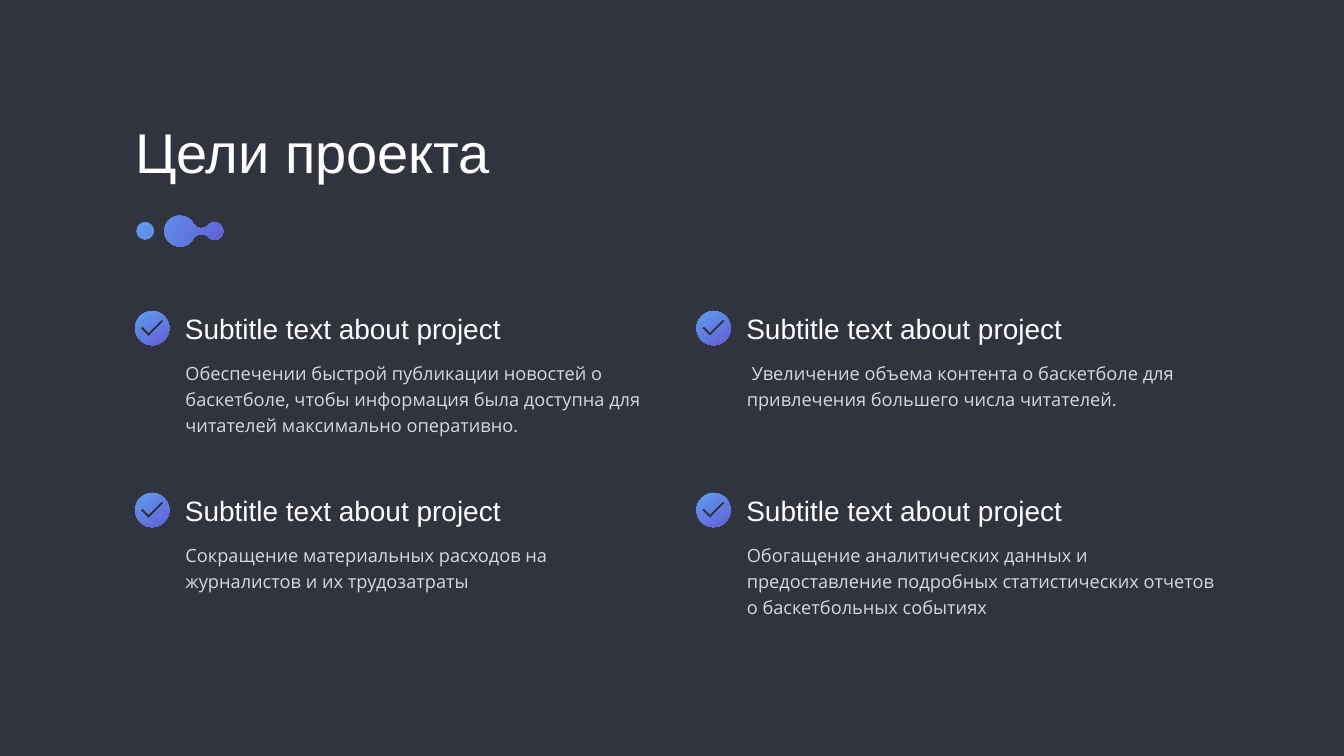
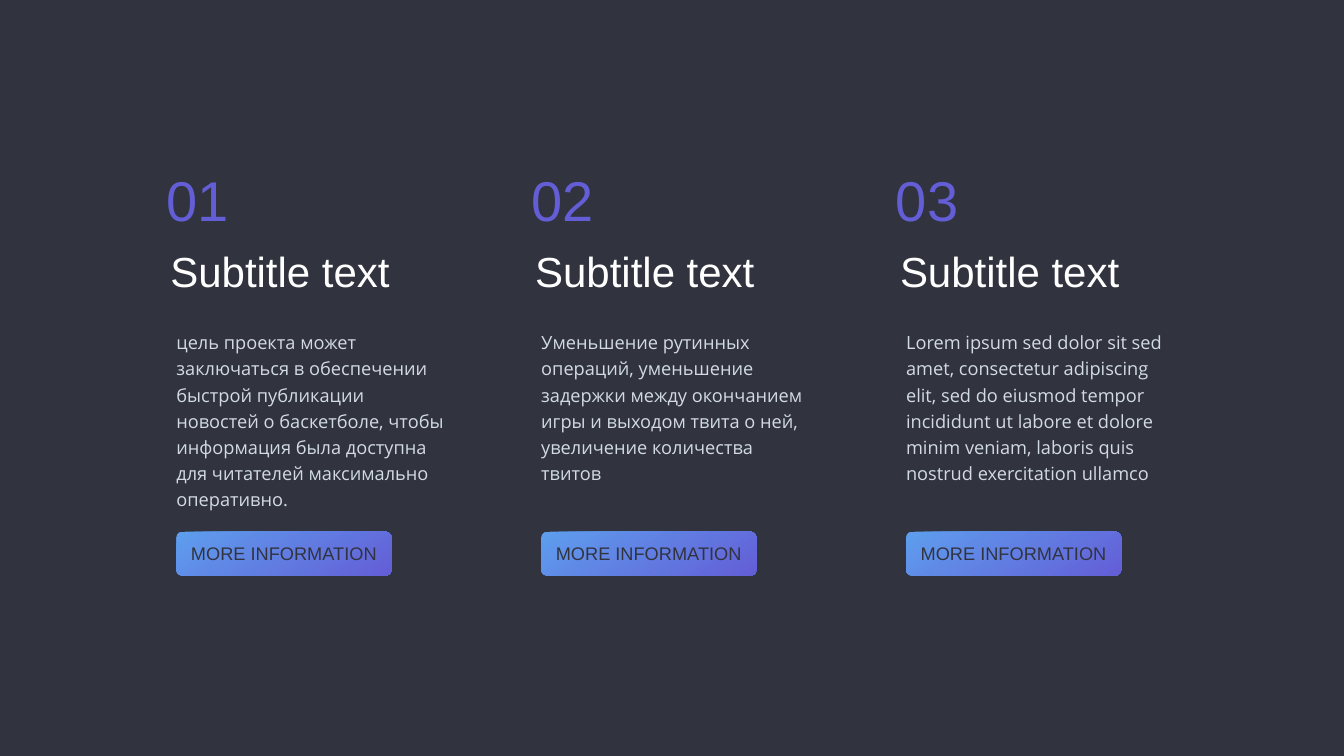
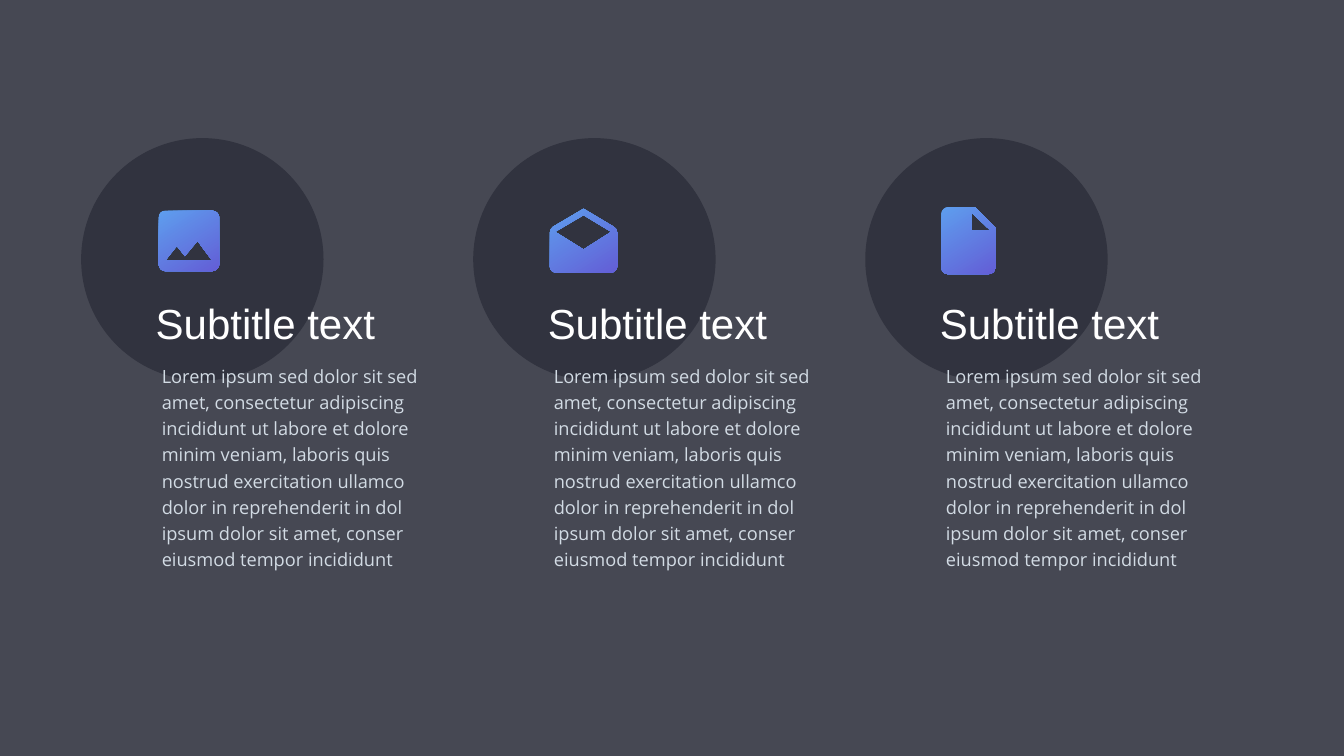
"""Build three dark slides: project goals, numbered steps and icon columns."""
from pptx import Presentation
from pptx.dml.color import RGBColor
from pptx.enum.shapes import MSO_SHAPE
from pptx.enum.text import MSO_ANCHOR, MSO_AUTO_SIZE, PP_ALIGN
from pptx.oxml.ns import qn
from pptx.util import Inches, Pt
from lxml.etree import SubElement

HUES = {"dark": "31333F", "slate": "464853", "white": "FFFFFF",
        "pale": "D2DBE4", "blue": "5E9EEE", "violet": "635ED6"}
HEAD, BODY = "Arial", "Open Sans"

TITLE = "Цели проекта"
GOAL = "Subtitle text about project"
GOALS = [
    (0, 0, 1.65, "Обеспечении быстрой публикации новостей о баскетболе, чтобы "
     "информация была доступна для читателей максимально оперативно."),
    (0, 1, 1.13, "Сокращение материальных расходов на журналистов и их "
     "трудозатраты"),
    (1, 0, 1.13, " Увеличение объема контента о баскетболе для привлечения "
     "большего числа читателей."),
    (1, 1, 1.65, "Обогащение аналитических данных и предоставление подробных "
     "статистических отчетов о баскетбольных событиях"),
]
SUB = "Subtitle text"
MORE = "MORE INFORMATION"
STEPS = [
    (5.15, 3.75, "цель проекта может заключаться в обеспечении быстрой "
     "публикации новостей о баскетболе, чтобы информация была доступна для "
     "читателей максимально оперативно."),
    (5.49, 3.23, "Уменьшение рутинных операций, уменьшение задержки между "
     "окончанием игры и выходом твита о ней, увеличение количества твитов"),
    (5.49, 3.61, "Lorem ipsum sed dolor sit sed amet, consectetur adipiscing "
     "elit, sed do eiusmod tempor incididunt ut labore et dolore minim veniam, "
     "laboris quis nostrud exercitation ullamco"),
]
LOREM = ("Lorem ipsum sed dolor sit sed amet, consectetur adipiscing "
         "incididunt ut labore et dolore minim veniam, laboris quis nostrud "
         "exercitation ullamco dolor in reprehenderit in dol ipsum dolor sit "
         "amet, conser eiusmod tempor incididunt")


def ring(x, y, r):
    """Give a circle as a start point and four Bezier parts."""
    k = .55 * r
    return [(x, y - r), (x - k, y - r, x - r, y - k, x - r, y),
            (x - r, y + k, x - k, y + r, x, y + r),
            (x + k, y + r, x + r, y + k, x + r, y),
            (x + r, y - k, x + k, y - r, x, y - r)]


BLOB = [
    [(.87, 0), (.7, -.01, .55, .13, .55, .3), (.55, .47, .68, .6, .85, .61),
     (.97, .62, 1.08, .55, 1.13, .45), (1.16, .41, 1.2, .38, 1.24, .37),
     (1.31, .35, 1.37, .37, 1.42, .42), (1.52, .54, 1.72, .47, 1.72, .31),
     (1.72, .14, 1.52, .07, 1.42, .19), (1.38, .23, 1.33, .25, 1.28, .25),
     (1.22, .25, 1.16, .21, 1.13, .16), (1.08, .06, .98, 0, .87, 0)],
    ring(.17, .3, .17),
]
TICK = [
    ring(.34, .34, .34),
    [(.27, .51), (.1, .34), (.15, .3), (.27, .42), (.53, .16), (.57, .2)],
]
PHOTO = [
    [(1.2, 1.07), (1.2, .13), (1.2, .06, 1.13, 0, 1.06, 0), (.13, 0),
     (.05, 0, 0, .06, 0, .13), (0, 1.07), (0, 1.13, .05, 1.2, .13, 1.2),
     (1.06, 1.2), (1.13, 1.2, 1.2, 1.13, 1.2, 1.07)],
    [(.36, .7), (.52, .9), (.77, .6), (1.06, .99), (.13, .99)],
]
MAIL = [
    [(1.34, .48), (1.34, .42, 1.31, .39, 1.27, .36), (.67, 0), (.06, .36),
     (.03, .39, 0, .42, 0, .48), (0, 1.14), (0, 1.22, .06, 1.27, .14, 1.27),
     (1.21, 1.27), (1.27, 1.27, 1.34, 1.22, 1.34, 1.14)],
    [(.67, .81), (.11, .46), (.67, .13), (1.22, .46)],
]
PAGE = [
    [(.13, 0), (.07, 0, 0, .06, 0, .13), (0, 1.2), (0, 1.28, .07, 1.33, .13, 1.33),
     (.93, 1.33), (1.01, 1.33, 1.07, 1.28, 1.07, 1.2), (1.07, .4), (.67, 0)],
    [(.6, .46), (.6, .11), (.97, .46)],
]
ICONS = [(MAIL, 10.91, 4.14), (PAGE, 18.68, 4.11), (PHOTO, 3.15, 4.18)]


def hue(name):
    return RGBColor.from_string(HUES[name])


def box(*sides):
    return [Inches(side) for side in sides]


def paint(shape, angle=57, tint=None):
    """Fill with a plain tint, or with the blue to violet blend."""
    shape.shadow.inherit = False
    shape.line.fill.background()
    if tint:
        shape.fill.solid()
        shape.fill.fore_color.rgb = hue(tint)
        return
    shape.fill.gradient()
    shape.fill.gradient_angle = 360 - angle
    for stop, name in zip(shape.fill.gradient_stops, ("blue", "violet")):
        stop.color.rgb = hue(name)


def write(shape, text, size, tint, font=HEAD, align=PP_ALIGN.LEFT):
    frame = shape.text_frame
    frame.word_wrap = True
    frame.margin_left = frame.margin_right = Inches(.06)
    frame.margin_top = frame.margin_bottom = Inches(.06)
    frame.vertical_anchor = MSO_ANCHOR.TOP if font == BODY else MSO_ANCHOR.MIDDLE
    frame.auto_size = MSO_AUTO_SIZE.SHAPE_TO_FIT_TEXT
    para = frame.paragraphs[0]
    para.alignment = align
    if font == BODY:
        para.line_spacing, para.space_before = 1.2, Pt(20)
    run = para.add_run()
    run.text = text
    run.font.name, run.font.size = font, Pt(size)
    run.font.color.rgb = hue(tint)


def label(slide, sides, *style):
    write(slide.shapes.add_textbox(*box(*sides)), *style)


def solid(slide, kind, sides, tint=None, bend=None):
    shape = slide.shapes.add_shape(kind, *box(*sides))
    if bend:
        shape.adjustments[0] = bend
    paint(shape, tint=tint)


def glyph(slide, loops, x, y, angle=57):
    """Draw the loops through their end points, then bend the curved parts."""
    pen = None
    for loop in loops:
        dots = [box(*part[-2:]) for part in loop]
        if pen:
            pen.move_to(*dots[0])
        else:
            pen = slide.shapes.build_freeform(*dots[0])
        pen.add_line_segments(dots[1:], close=True)
    shape = pen.convert_to_shape(*box(x, y))
    moves = list(shape.element.iter(qn("a:moveTo"), qn("a:lnTo")))
    parts = [part for loop in loops for part in loop]
    for move, part in zip(moves, parts):
        if len(part) == 6:
            move.tag = qn("a:cubicBezTo")
            move.remove(move[0])
            for i in (0, 2, 4):
                left, top = box(*part[i:i + 2])
                SubElement(move, qn("a:pt"), x=str(left), y=str(top))
    paint(shape, angle)


def start(deck, layout, tint):
    slide = deck.slides.add_slide(deck.slide_layouts[layout])
    slide.background.fill.solid()
    slide.background.fill.fore_color.rgb = hue(tint)
    return slide


def goals(deck):
    slide = start(deck, 5, "dark")
    title = slide.shapes.title
    title.left, title.top, title.width, title.height = box(2.62, 2.26, 13.18, 1.46)
    write(title, TITLE, 80, "white")
    glyph(slide, BLOB, 2.71, 4.28, 34)
    for col, row, tall, text in GOALS:
        x, y = 3.61 + 11.14 * col, 6.14 + 3.61 * row
        label(slide, (x + .01, y + .9, 9.47, tall), text, 26, "pale", BODY)
        label(slide, (x, y, 7.52, .76), GOAL, 40, "white")
    for row in range(2):
        for col in range(2):
            glyph(slide, TICK, 2.68 + 11.14 * col, 6.17 + 3.61 * row)


def steps(deck):
    slide = start(deck, 6, "dark")
    for i, (wide, tall, text) in enumerate(STEPS):
        x = 3.24 + 7.24 * i
        if i:
            solid(slide, MSO_SHAPE.ROUNDED_RECTANGLE,
                  (x - .58, 2.67, 6.81, 9.67), "dark", .04)
        label(slide, (x + .08, 4.82, wide, 1.1), SUB, 60, "white")
        label(slide, (x + .2, 6.43, 5.45, tall), text, 26, "pale", BODY)
        label(slide, (x, 3.23, 2.37, 1.46), f"{i + 1:02}", 80, "violet")
        solid(slide, MSO_SHAPE.ROUNDED_RECTANGLE,
              (x + .26, 10.55, 4.27, .87), bend=.13)
        label(slide, (x + .3, 10.71, 4.19, .53), MORE, 26, "dark", HEAD,
              PP_ALIGN.CENTER)


def columns(deck):
    slide = start(deck, 6, "slate")
    for i in (1, 2, 0):
        x = 1.61 + 7.78 * i
        solid(slide, MSO_SHAPE.OVAL, (x, 2.74, 4.81, 4.81), "dark")
        label(slide, (x + 1.42, 5.85, 5.15, 1.1), SUB, 60, "white")
        label(slide, (x + 1.54, 7.1, 5.45, 4.81), LOREM, 26, "pale", BODY)
    for icon in ICONS:
        glyph(slide, *icon)


def main():
    deck = Presentation()
    deck.slide_width, deck.slide_height = box(26.67, 15)
    for build in (goals, steps, columns):
        build(deck)
    deck.save("out.pptx")


if __name__ == "__main__":
    main()
